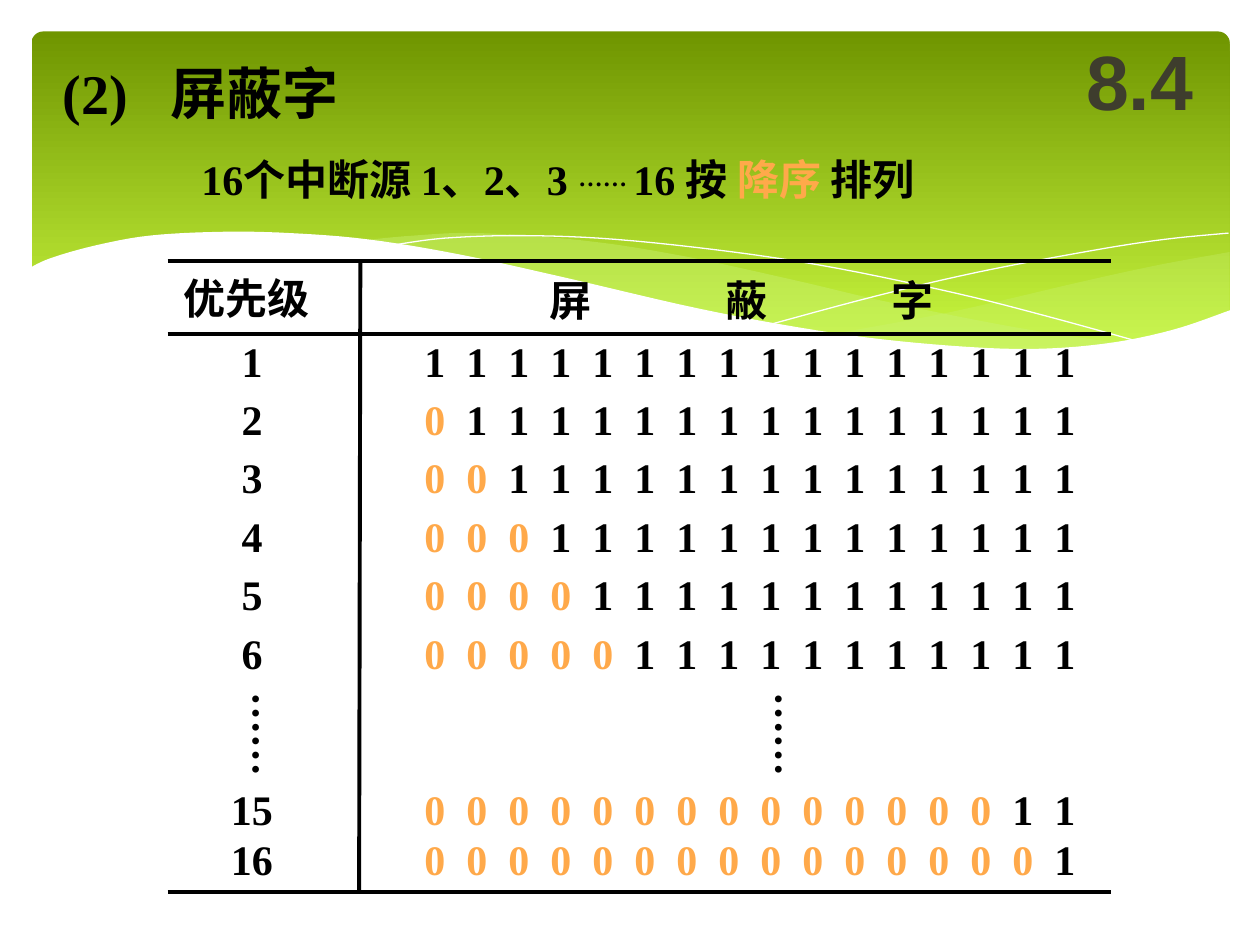
from dataclasses import dataclass
from typing import Optional

from lxml.etree import SubElement
from pptx import Presentation
from pptx.dml.color import RGBColor as RGB
from pptx.enum.shapes import MSO_CONNECTOR as CONN, MSO_SHAPE as SHAPE
from pptx.enum.text import MSO_ANCHOR as ANCHOR, PP_ALIGN as ALIGN
from pptx.oxml.ns import qn
from pptx.util import Inches, Pt

Points = list[tuple[float, float]]


@dataclass(frozen=True)
class Theme:
    ink: str = "000000"
    accent: str = "FFA94A"
    number: str = "3E3D2D"
    paper: str = "FFFFFF"
    ribbon: str = "CAF278"
    banner_top: str = "6F9500"
    banner_bottom: str = "D0FF44"
    serif: str = "Times New Roman"
    sans: str = "Arial"
    title: int = 32
    body: int = 24
    section: int = 44
    rule: float = 2.25


T = Theme()


@dataclass(frozen=True)
class Run:
    text: str
    color: str = T.ink
    size: int = T.body
    font: str = T.serif
    raised: int = 0


@dataclass(frozen=True)
class Box:
    left: float
    top: float
    width: float
    height: float
    runs: list[Run]
    insets: tuple[float, float, float, float] = (0.1, 0.05, 0, 0.05)
    tabs: tuple[float, ...] = ()
    anchor: ANCHOR = ANCHOR.TOP
    align: ALIGN = ALIGN.LEFT
    vertical: bool = False


@dataclass(frozen=True)
class Curve:
    edges: list[Points]
    fill: Optional[str] = None
    opacity: int = 100


def set_all(target, values: dict) -> None:
    for name, value in values.items():
        setattr(target, name, value)


def draw_box(shapes, box: Box) -> None:
    sp = shapes.add_textbox(*map(Inches, (box.left, box.top, box.width, box.height)))
    tf = sp.text_frame
    sides = ("margin_left", "margin_top", "margin_right", "margin_bottom")
    set_all(tf, dict(zip(sides, map(Inches, box.insets)))
            | {"word_wrap": True, "vertical_anchor": box.anchor})
    if box.vertical:
        tf._txBody.bodyPr.set("vert", "eaVert")
    p = tf.paragraphs[0]
    p.alignment = box.align
    if box.tabs:
        tab_list = SubElement(p._p.get_or_add_pPr(), qn("a:tabLst"))
        for stop in box.tabs:
            SubElement(tab_list, qn("a:tab"), pos=str(Inches(stop)), algn="l")
    for run in box.runs:
        r = p.add_run()
        r.text = run.text
        set_all(r.font, {"name": run.font, "size": Pt(run.size), "bold": True})
        r.font.color.rgb = RGB.from_string(run.color)
        if run.raised:
            r._r.get_or_add_rPr().set("baseline", str(run.raised * 1000))


def smooth(knots: Points, steps: int = 6) -> Points:
    padded = [knots[0], *knots, knots[-1]]
    points = [knots[0]]
    for a, b, c, d in zip(padded, padded[1:], padded[2:], padded[3:]):
        for i in range(1, steps + 1):
            t = i / steps
            x, y = (
                (2 * q + (r - o) * t + (2 * o - 5 * q + 4 * r - s) * t**2
                 + (3 * q - o - 3 * r + s) * t**3) / 2
                for o, q, r, s in zip(a, b, c, d)
            )
            points.append((x, y))
    return points


def draw_curve(shapes, curve: Curve) -> None:
    points = [(Inches(x), Inches(y)) for edge in curve.edges for x, y in smooth(edge)]
    builder = shapes.build_freeform(*points[0], scale=1.0)
    builder.add_line_segments(points[1:], close=curve.fill is not None)
    sp = builder.convert_to_shape()
    sp.shadow.inherit = False
    if curve.fill is None:
        sp.fill.background()
        sp.line.color.rgb = RGB.from_string(T.paper)
        sp.line.width = Pt(0)
        return
    sp.line.fill.background()
    sp.fill.solid()
    sp.fill.fore_color.rgb = RGB.from_string(curve.fill)
    if curve.opacity < 100:
        color = sp._element.spPr.find(qn("a:solidFill"))[0]
        SubElement(color, qn("a:alpha"), val=str(curve.opacity * 1000))


def draw_rule(shapes, x1: float, y1: float, x2: float, y2: float) -> None:
    line = shapes.add_connector(CONN.STRAIGHT, *map(Inches, (x1, y1, x2, y2)))
    line.line.color.rgb = RGB.from_string(T.ink)
    line.line.width = Pt(T.rule)
    SubElement(line._element.spPr, qn("a:effectLst"))


def draw_banner(shapes) -> None:
    sp = shapes.add_shape(SHAPE.ROUNDED_RECTANGLE, *map(Inches, (0.25, 0.25, 9.51, 2.7)))
    sp.adjustments[0] = 0.034
    sp.shadow.inherit = False
    sp.line.fill.background()
    sp.fill.gradient()
    sp.fill.gradient_angle = 270
    for stop, color in zip(sp.fill.gradient_stops, (T.banner_top, T.banner_bottom)):
        stop.color.rgb = RGB.from_string(color)


CURVES = [
    Curve([[(9.76, 2), (9.21, 2.1), (8.61, 2.23), (7.53, 2.48), (6.61, 2.65)],
           [(6.61, 2.65), (7.18, 2.73), (8.03, 2.78), (8.81, 2.73), (9.35, 2.62),
            (9.76, 2.47)]], T.ribbon, 29),
    Curve([[(8.93, 2.73), (8.07, 2.6), (7.06, 2.4), (6.29, 2.22), (5.41, 2.03),
            (4.64, 1.91), (3.8, 1.85), (3.28, 1.87), (2.86, 1.91)],
           [(2.86, 1.91), (3.62, 2.03), (4.49, 2.22), (5.66, 2.48), (6.5, 2.64),
            (7.36, 2.75), (8.18, 2.79), (8.93, 2.73)]], T.ribbon, 40),
    Curve([[(3.09, 1.95), (3.53, 1.89), (4.16, 1.87), (4.89, 1.9), (5.82, 2),
            (6.65, 2.13), (7.6, 2.33), (8.31, 2.51), (9.07, 2.72)]]),
    Curve([[(6.13, 2.57), (6.95, 2.35), (7.76, 2.16), (8.66, 1.99), (9.24, 1.9),
            (9.75, 1.85)]]),
    Curve([[(9.77, 2.46), (9.3, 2.62), (8.75, 2.73), (8.09, 2.77), (7.26, 2.72),
            (6.47, 2.62), (5.55, 2.45), (4.47, 2.2), (3.65, 2.02), (2.92, 1.9),
            (2.3, 1.85), (1.76, 1.84), (1.19, 1.87), (0.75, 1.95), (0.4, 2.05),
            (0.23, 2.13)],
           [(0.23, 3.29), (9.77, 3.29)]], T.paper),
]

SOURCES = 16
ROW_HEIGHT = 0.5
LEVEL_CENTER = 2.0
MASK_LEFT = 3.27
ROW_TOPS = {level: 2.61 + 0.464 * (level - 1) for level in range(1, 7)} | {15: 6.17, 16: 6.57}
BIT_TABS = tuple(i / 3 for i in range(1, SOURCES))
RULES = [(1.33, 2.07, 8.82, 2.07), (1.33, 2.65, 8.82, 2.65),
         (1.33, 7.08, 8.82, 7.08), (2.86, 2.08, 2.85, 7.08)]

HEADINGS = [
    Box(0.5, 0.5, 5.9, 0.47, [Run("(2)\t屏蔽字", size=T.title)], (0, 0, 0, 0), (0.85,),
        ANCHOR.MIDDLE),
    Box(1.5, 1.17, 7.42, 0.5, [
        Run("16个中断源 1、2、3 "), Run("…… ", raised=22), Run("16 按 "),
        Run("降序 ", T.accent), Run("排列")]),
    Box(8.42, 0.17, 1.25, 0.92, [Run("8.4", T.number, T.section, T.sans)],
        (0.1, 0.05, 0.1, 0.05), anchor=ANCHOR.MIDDLE, align=ALIGN.CENTER),
    Box(1.36, 2.11, 1.2, 0.5, [Run("优先级")]),
    Box(4.26, 2.13, 3.32, 0.5, [Run("屏\t蔽\t字")], tabs=(1.4, 2.72)),
]


def draw_level(shapes, level: int, top: float) -> None:
    label = str(level)
    width = 0.19 + 0.17 * len(label)
    draw_box(shapes, Box(LEVEL_CENTER - width / 2, top, width, ROW_HEIGHT, [Run(label)]))
    zeros = "0\t" * (level - 1)
    ones = "\t".join("1" * (SOURCES - level + 1))
    runs = [Run(text, color) for text, color in ((zeros, T.accent), (ones, T.ink)) if text]
    draw_box(shapes, Box(MASK_LEFT, top, 5.36, ROW_HEIGHT, runs, tabs=BIT_TABS))


def main() -> None:
    prs = Presentation()
    set_all(prs, {"slide_width": Inches(10), "slide_height": Inches(7.5)})
    shapes = prs.slides.add_slide(prs.slide_layouts[6]).shapes
    draw_banner(shapes)
    for curve in CURVES:
        draw_curve(shapes, curve)
    for box in HEADINGS:
        draw_box(shapes, box)
    for rule in RULES:
        draw_rule(shapes, *rule)
    for level, top in ROW_TOPS.items():
        draw_level(shapes, level, top)
    for left in (1.79, 5.94):
        draw_box(shapes, Box(left, 5.4, 0.6, 0.77, [Run("……")], (0.05, 0.1, 0.05, 0),
                             vertical=True))
    prs.save("out.pptx")


if __name__ == "__main__":
    main()
